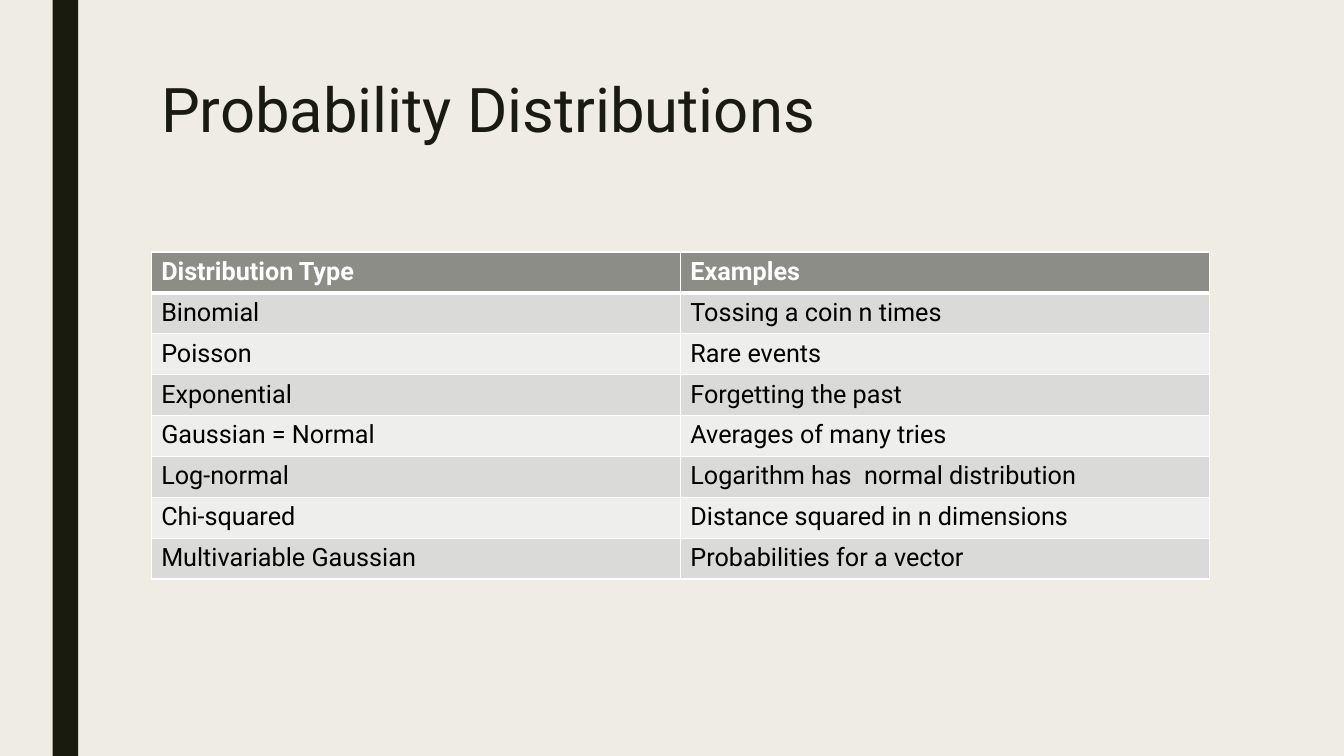
from lxml.etree import SubElement
from pptx import Presentation
from pptx.dml.color import RGBColor
from pptx.enum.shapes import MSO_SHAPE
from pptx.oxml.ns import qn
from pptx.util import Cm, Pt

FONT = "Roboto"
DARK = "191B0E"
WHITE = "FFFFFF"
HEADER_FILL = "8C8D86"
BAND_FILLS = ("EEEEED", "DADBD9")

DISTRIBUTIONS = [
    ("Distribution Type", "Examples"),
    ("Binomial", "Tossing a coin n times"),
    ("Poisson", "Rare events"),
    ("Exponential", "Forgetting the past"),
    ("Gaussian = Normal", "Averages of many tries"),
    ("Log-normal", "Logarithm has  normal distribution"),
    ("Chi-squared", "Distance squared in n dimensions"),
    ("Multivariable Gaussian", "Probabilities for a vector"),
]


def set_fill(fill, color):
    fill.solid()
    fill.fore_color.rgb = RGBColor.from_string(color)


def write(tf, text, size=18, color="000000", bold=False, spacing=None):
    p = tf.paragraphs[0]
    p.line_spacing = spacing
    r = p.add_run()
    r.text = text
    r.font.name = FONT
    r.font.size = Pt(size)
    r.font.bold = bold
    set_fill(r.font.fill, color)


def add_side_bar(slide, height):
    sp = slide.shapes.add_shape(MSO_SHAPE.RECTANGLE, Cm(1.33), 0, Cm(0.64), height)
    sp.shadow.inherit = False
    set_fill(sp.fill, DARK)
    sp.line.fill.background()


def add_title(slide, text):
    sp = slide.shapes.add_textbox(Cm(3.81), Cm(1.9), Cm(26.67), Cm(4.11))
    tf = sp.text_frame
    tf.word_wrap = True
    write(tf, text, size=44, color=DARK, spacing=0.89)


def set_borders(cell, **widths):
    """Draw white borders; widths maps the sides L, R, T, B, in that order, to points."""
    tc_pr = cell._tc.get_or_add_tcPr()
    for side, width in widths.items():
        ln = SubElement(tc_pr, qn(f"a:ln{side}"), w=str(Pt(width)))
        fill = SubElement(ln, qn("a:solidFill"))
        SubElement(fill, qn("a:srgbClr"), val=WHITE)


def add_table(slide, rows):
    """Add a two-tone banded table whose first row is the header."""
    frame = slide.shapes.add_table(len(rows), len(rows[0]), Cm(3.81), Cm(6.35),
                                   Cm(26.67), Cm(1.03) * len(rows))
    for i, row in enumerate(rows):
        header = i == 0
        for j, text in enumerate(row):
            cell = frame.table.cell(i, j)
            set_borders(cell, L=1, R=1, T=3 if i == 1 else 1, B=3 if header else 1)
            set_fill(cell.fill, HEADER_FILL if header else BAND_FILLS[i % 2])
            write(cell.text_frame, text, color=WHITE if header else "000000", bold=header)


def main():
    prs = Presentation()
    prs.slide_width, prs.slide_height = Cm(33.87), Cm(19.05)
    slide = prs.slides.add_slide(prs.slide_layouts[6])
    set_fill(slide.background.fill, "EFEDE3")
    add_side_bar(slide, prs.slide_height)
    add_title(slide, "Probability Distributions")
    add_table(slide, DISTRIBUTIONS)
    prs.save("out.pptx")


if __name__ == "__main__":
    main()
